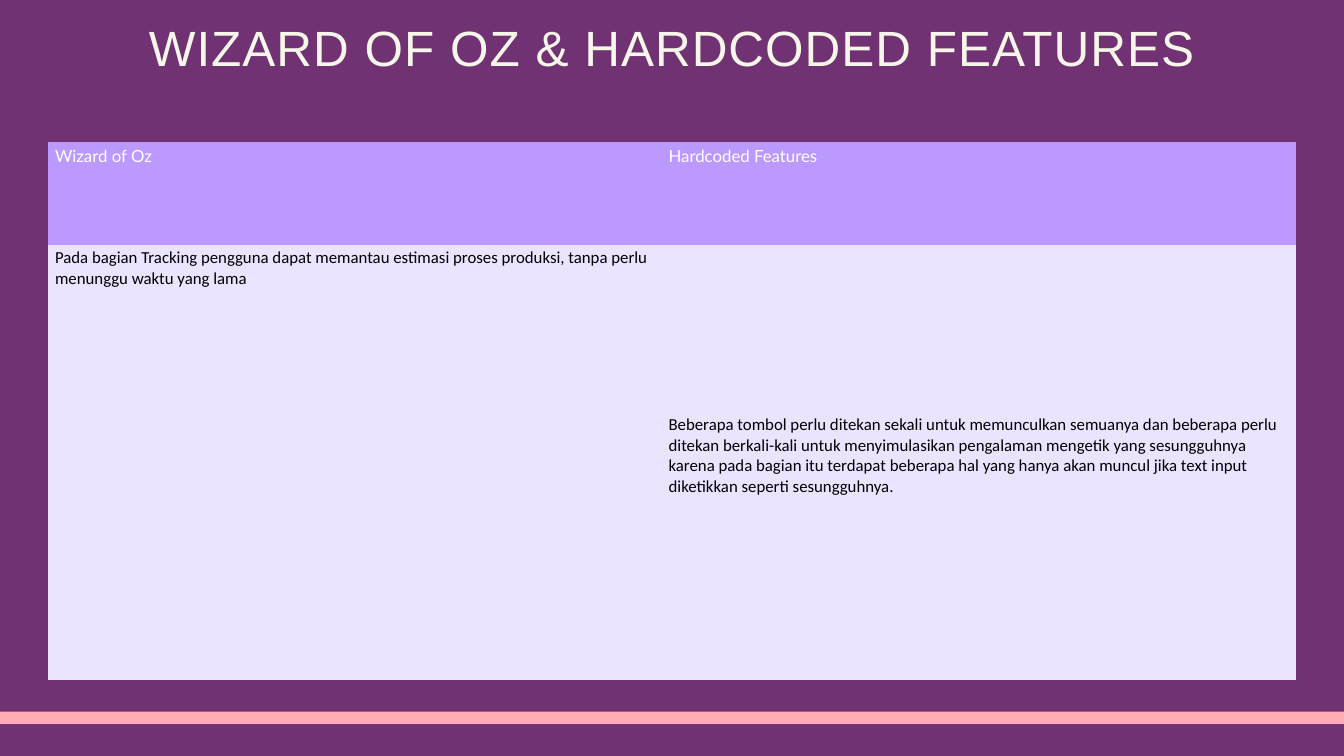
from lxml import etree
from pptx import Presentation
from pptx import util as u
from pptx.dml.color import RGBColor
from pptx.enum import shapes, text
from pptx.oxml import ns

PURPLE = RGBColor(0x71, 0x32, 0x74)
CREAM = RGBColor(0xF6, 0xF6, 0xE9)
PINK = RGBColor(0xFF, 0xAC, 0xB7)
VIOLET = RGBColor(0xBB, 0x99, 0xFF)
LILAC = RGBColor(0xEC, 0xE3, 0xFF)
WHITE = RGBColor(0xFF, 0xFF, 0xFF)
BLACK = RGBColor(0, 0, 0)

FEATURES = [
    ("Wizard of Oz", "Hardcoded Features"),
    ("Pada bagian Tracking pengguna dapat memantau estimasi proses produksi, "
     "tanpa perlu menunggu waktu yang lama", ""),
    ("", "Beberapa tombol perlu ditekan sekali untuk memunculkan semuanya dan "
     "beberapa perlu ditekan berkali-kali untuk menyimulasikan pengalaman "
     "mengetik yang sesungguhnya karena pada bagian itu terdapat beberapa hal "
     "yang hanya akan muncul jika text input diketikkan seperti sesungguhnya."),
]


class Deck:
    """Holds the style and the current slide; lengths are in points."""
    heading_font, header_font, body_font = "Arial", "Lato", "Calibri"
    heading_size, table_size = 53, 18

    def __init__(self, width, height):
        self.prs = Presentation()
        self.prs.slide_width, self.prs.slide_height = u.Pt(width), u.Pt(height)

    def add_slide(self, background):
        self.slide = self.prs.slides.add_slide(self.prs.slide_layouts[5])
        self.slide.background.fill.solid()
        self.slide.background.fill.fore_color.rgb = background

    def style(self, run, font, size, color):
        run.font.name, run.font.size = font, u.Pt(size)
        run.font.bold = False
        run.font.color.rgb = color

    def title(self, wording, box):
        heading = self.slide.shapes.title
        heading.left, heading.top, heading.width, heading.height = map(u.Pt, box)
        frame = heading.text_frame
        frame.text = wording
        frame.word_wrap = True
        frame.auto_size = text.MSO_AUTO_SIZE.NONE
        frame.vertical_anchor = text.MSO_ANCHOR.TOP
        frame.margin_left = frame.margin_right = 0
        frame.margin_top = frame.margin_bottom = 0
        line = frame.paragraphs[0]
        line.alignment = text.PP_ALIGN.CENTER
        line.line_spacing = u.Pt(63.6)
        self.style(line.runs[0], self.heading_font, self.heading_size, CREAM)
        line.runs[0].font._element.set("spc", "110")

    def bar(self, box, color):
        stripe = self.slide.shapes.add_shape(
            shapes.MSO_SHAPE.RECTANGLE, *map(u.Pt, box))
        stripe.shadow.inherit = False
        stripe.fill.solid()
        stripe.fill.fore_color.rgb = color
        stripe.line.fill.background()

    def borders(self, cell, color):
        props = cell._tc.get_or_add_tcPr()
        for side in ("a:lnL", "a:lnR", "a:lnT", "a:lnB"):
            edge = etree.SubElement(props, ns.qn(side), w="0")
            fill = etree.SubElement(edge, ns.qn("a:solidFill"))
            etree.SubElement(fill, ns.qn("a:srgbClr"), val=str(color))

    def table(self, rows, left, top, widths, heights):
        grid = self.slide.shapes.add_table(
            len(rows), len(widths), u.Pt(left), u.Pt(top),
            u.Pt(sum(widths)), u.Pt(sum(heights))).table
        for column, width in zip(grid.columns, widths):
            column.width = u.Pt(width)
        for r, (wordings, height) in enumerate(zip(rows, heights)):
            grid.rows[r].height = u.Pt(height)
            font, ink, shade = ((self.header_font, WHITE, VIOLET) if r == 0
                                else (self.body_font, BLACK, LILAC))
            for c, wording in enumerate(wordings):
                cell = grid.cell(r, c)
                self.borders(cell, VIOLET)
                cell.fill.solid()
                cell.fill.fore_color.rgb = shade
                if wording:
                    cell.text_frame.text = wording
                    self.style(cell.text_frame.paragraphs[0].runs[0],
                               font, self.table_size, ink)


def main():
    deck = Deck(1440, 810)
    deck.add_slide(PURPLE)

    # Heading
    deck.title("WIZARD OF OZ & HARDCODED FEATURES", (111.6, 18, 1217.5, 126))

    # Footer stripe
    deck.bar((-28, 762.5, 1490, 13), PINK)

    # Comparison of the two techniques
    deck.table(FEATURES, 51.8, 152.6, widths=(657.4, 679),
               heights=(109.4, 178.6, 288))

    deck.prs.save("out.pptx")


if __name__ == "__main__":
    main()
